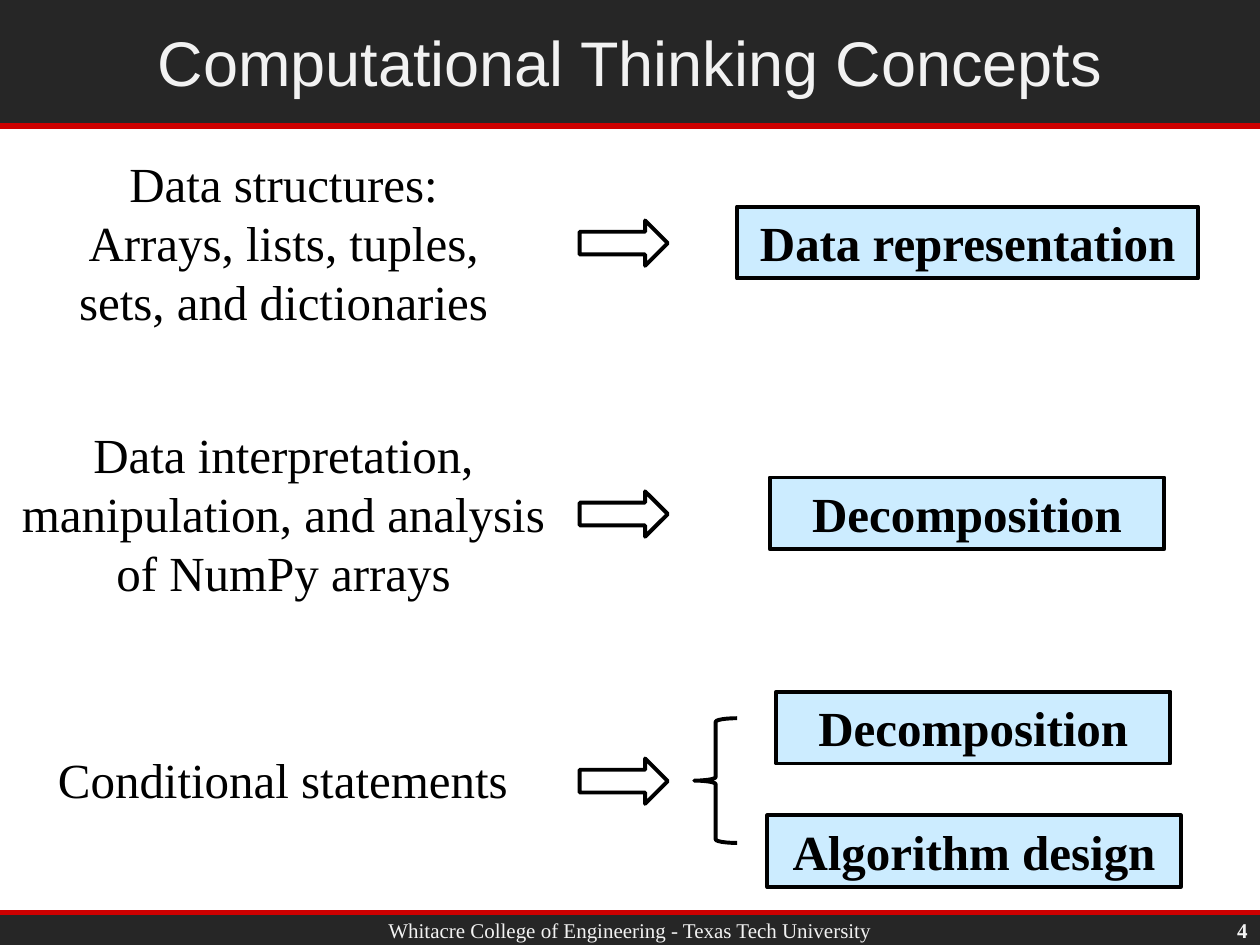
from lxml.etree import SubElement
from pptx import Presentation
from pptx.dml.color import RGBColor
from pptx.enum.shapes import MSO_CONNECTOR, MSO_SHAPE
from pptx.enum.text import MSO_ANCHOR, PP_ALIGN
from pptx.oxml.ns import qn
from pptx.util import Inches, Pt

DARK = RGBColor(0x26, 0x26, 0x26)
RED = RGBColor(0xCC, 0x00, 0x00)
PALE = RGBColor(0xF2, 0xF2, 0xF2)
BLACK = RGBColor(0x00, 0x00, 0x00)
BLUE = RGBColor(0xCC, 0xEC, 0xFF)

SERIF = "Times New Roman"
TITLE = {"name": "Arial", "size": Pt(36), "bold": False}
BODY = {"name": SERIF, "size": Pt(28), "bold": False}
LABEL = {"name": SERIF, "size": Pt(28), "bold": True}
FOOTER = {"name": SERIF, "size": Pt(12), "bold": False}
NUMBER = {"name": SERIF, "size": Pt(12), "bold": True}


def write(shape, text, style, color, align=PP_ALIGN.CENTER, anchor=MSO_ANCHOR.MIDDLE):
    frame = shape.text_frame
    frame.word_wrap = True
    frame.vertical_anchor = anchor
    para = frame.paragraphs[0]
    para.text = text
    para.alignment = align
    for key, value in style.items():
        setattr(para.font, key, value)
    para.font.color.rgb = color


def draw(kind, box, fill=None, line=None):
    shape = slide.shapes.add_shape(kind, *map(Inches, box))
    shape.shadow.inherit = False
    if fill is None:
        shape.fill.background()
    else:
        shape.fill.solid()
        shape.fill.fore_color.rgb = fill
    if line is None:
        shape.line.fill.background()
    else:
        shape.line.color.rgb = line
        shape.line.width = Pt(2.25)
    return shape


deck = Presentation()
deck.slide_width = Inches(10)
deck.slide_height = Inches(7.5)
slide = deck.slides.add_slide(deck.slide_layouts[6])

for top, height, edge in [(7.24, 0.26, 7.24), (0, 1, 1)]:
    draw(MSO_SHAPE.RECTANGLE, (0, top, 10, height), DARK)
    rule = slide.shapes.add_connector(
        MSO_CONNECTOR.STRAIGHT, Inches(0), Inches(edge), Inches(10), Inches(edge)
    )
    rule.line.color.rgb = RED
    rule.line.width = Pt(3)
    SubElement(rule._element.spPr, qn("a:effectLst"))

for box, text, style, align in [
    ((1.01, 0.04, 7.98, 0.89), "Computational Thinking Concepts", TITLE, PP_ALIGN.CENTER),
    ((1.01, 7.23, 7.98, 0.3), "Whitacre College of Engineering - Texas Tech University",
     FOOTER, PP_ALIGN.CENTER),
    ((9.28, 7.25, 0.72, 0.26), "4", NUMBER, PP_ALIGN.RIGHT),
]:
    write(slide.shapes.add_textbox(*map(Inches, box)), text, style, PALE, align)

for box, text in [
    ((0.34, 1.17, 3.82, 1.51), "Data structures: Arrays, lists, tuples, sets, and dictionaries"),
    ((0, 3.32, 4.5, 1.51), "Data interpretation, manipulation, and analysis of NumPy arrays"),
    ((0.1, 5.9, 4.29, 0.57), "Conditional statements"),
]:
    topic = slide.shapes.add_textbox(*map(Inches, box))
    write(topic, text, BODY, BLACK, anchor=MSO_ANCHOR.TOP)

for top in (1.75, 3.9, 6.02):
    draw(MSO_SHAPE.RIGHT_ARROW, (4.6, top, 0.7, 0.36), line=BLACK)

for left, top, width, text in [
    (5.85, 1.64, 3.66, "Data representation"),
    (6.11, 3.79, 3.13, "Decomposition"),
    (6.16, 5.49, 3.13, "Decomposition"),
    (6.09, 6.47, 3.28, "Algorithm design"),
]:
    skill = draw(MSO_SHAPE.RECTANGLE, (left, top, width, 0.57), BLUE, BLACK)
    write(skill, text, LABEL, BLACK, anchor=MSO_ANCHOR.TOP)

brace = draw(MSO_SHAPE.RIGHT_BRACE, (5.51, 5.7, 0.34, 0.99), line=BLACK)
brace.rotation = 180

deck.save("out.pptx")
